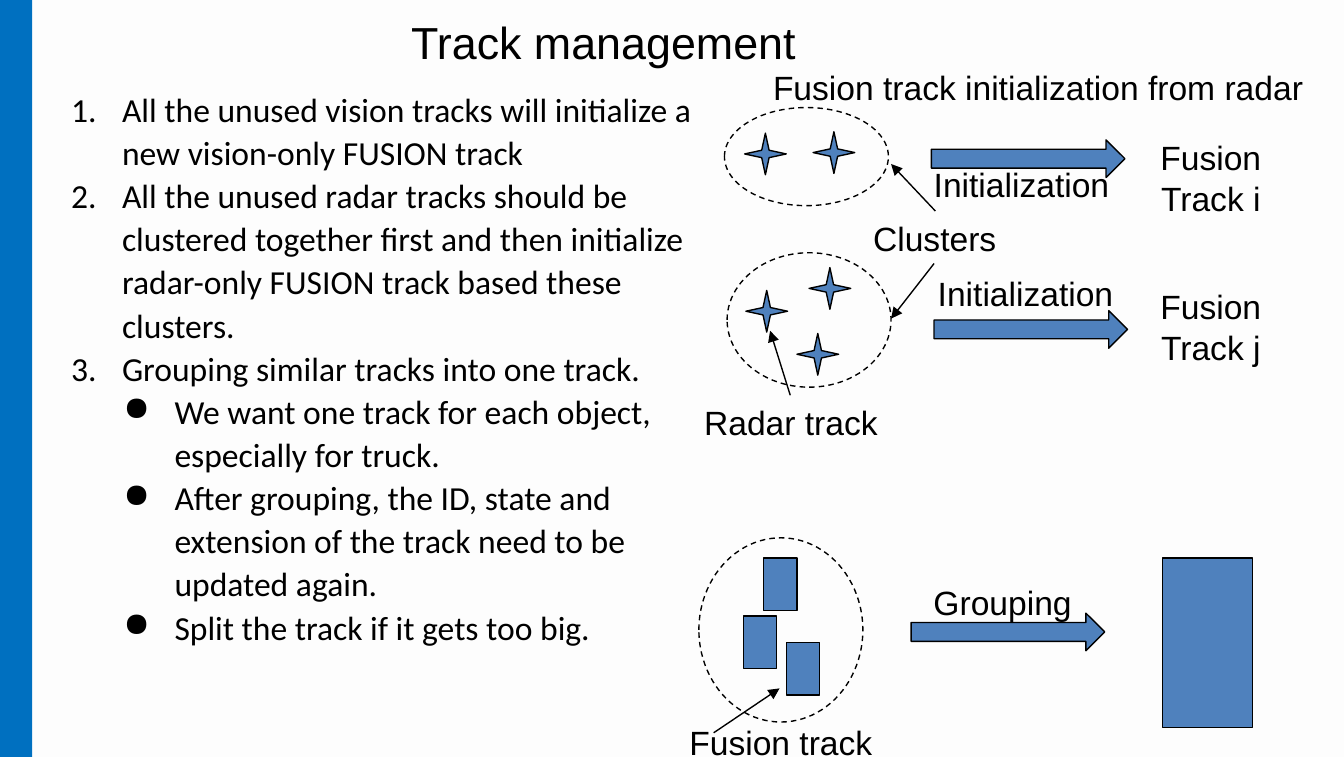
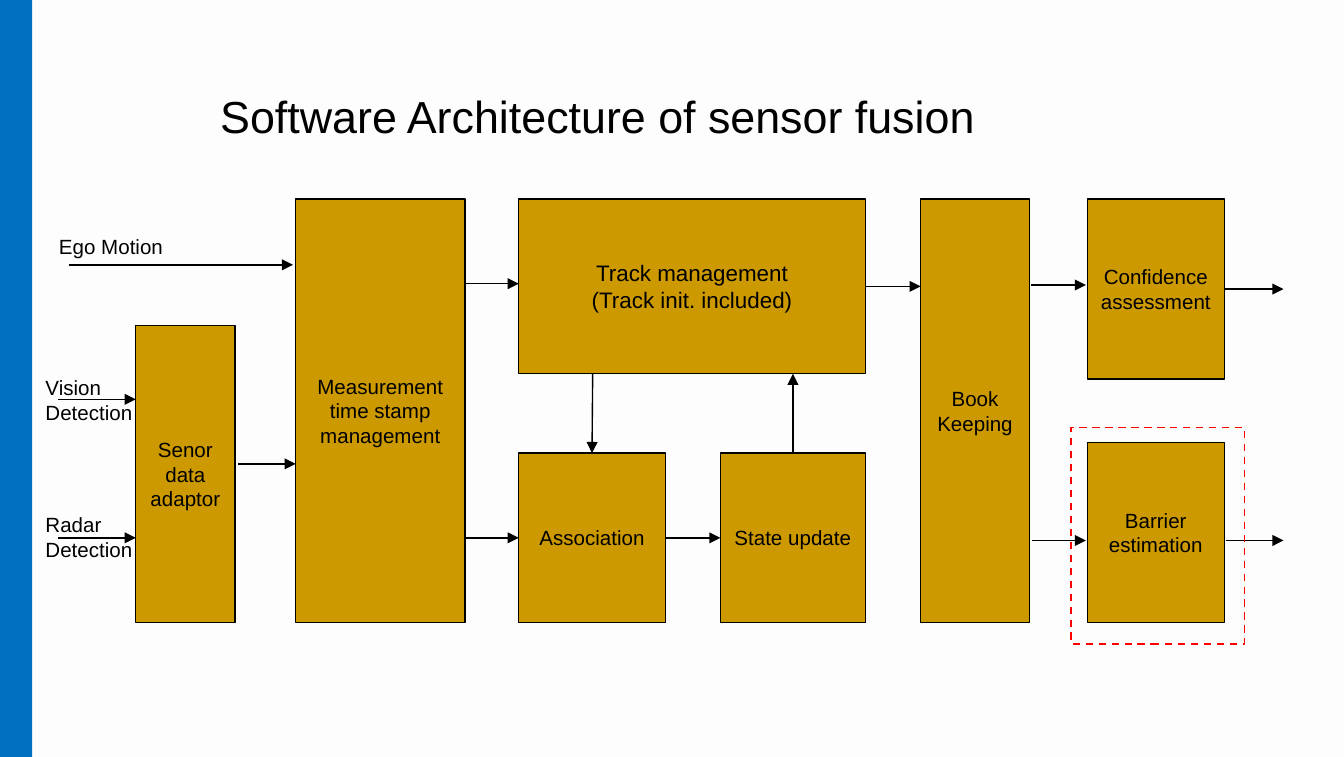
import lxml.etree
import pptx
import pptx.dml.color
import pptx.enum.dml
import pptx.enum.shapes
import pptx.enum.text
import pptx.oxml.ns
import pptx.util

Inches = pptx.util.Inches
Pt = pptx.util.Pt
qn = pptx.oxml.ns.qn
color = pptx.dml.color.RGBColor.from_string
SHAPE = pptx.enum.shapes.MSO_SHAPE
ALIGN = pptx.enum.text.PP_ALIGN
ANCHOR = pptx.enum.text.MSO_ANCHOR

BLACK, BLUE, BAND_BLUE, GOLD, RED = "000000", "4F81BD", "0070C0", "CC9900", "FF0000"


def place(slide, box, geometry=None, fill=None, line=BLACK, width=0.75, dash=False,
          lines=(), size=18, align=ALIGN.CENTER, wrap=True, font="Arial"):
    lengths = [Inches(length) for length in box]
    if geometry is None:
        item = slide.shapes.add_textbox(*lengths)
        item.text_frame.auto_size = pptx.enum.text.MSO_AUTO_SIZE.SHAPE_TO_FIT_TEXT
    else:
        item = slide.shapes.add_shape(geometry, *lengths)
        item.shadow.inherit = False
        if fill:
            item.fill.solid()
            item.fill.fore_color.rgb = color(fill)
        else:
            item.fill.background()
        if line:
            item.line.color.rgb = color(line)
            item.line.width = Pt(width)
        else:
            item.line.fill.background()
        if dash:
            item.line.dash_style = pptx.enum.dml.MSO_LINE.DASH
        item.text_frame.vertical_anchor = ANCHOR.MIDDLE
        item.text_frame.margin_left = item.text_frame.margin_right = Inches(0.05)
    frame = item.text_frame
    frame.word_wrap = wrap
    for index, words in enumerate(lines):
        paragraph = frame.add_paragraph() if index else frame.paragraphs[0]
        paragraph.alignment = align
        run = paragraph.add_run()
        run.text = words
        run.font.size = Pt(size)
        run.font.name = font
        run.font.color.rgb = color(BLACK)
    return item


def draw_arrow(slide, start, end, source=None, target=None):
    arrow = slide.shapes.add_connector(
        pptx.enum.shapes.MSO_CONNECTOR.STRAIGHT, *[Inches(length) for length in start + end])
    if source:
        arrow.begin_connect(*source)
    if target:
        arrow.end_connect(*target)
    arrow.line.color.rgb = color(BLACK)
    arrow.line.width = Pt(0.75)
    lxml.etree.SubElement(arrow.line._get_or_add_ln(), qn("a:tailEnd"), type="triangle")
    lxml.etree.SubElement(arrow._element.spPr, qn("a:effectLst"))


deck = pptx.Presentation()
deck.slide_width = Inches(10)
deck.slide_height = Inches(5.63)

slides = []
for title, title_box, title_align in [
    ("Track management", (2.56, 0.06, 3.86, 0.5), ALIGN.CENTER),
    ("Software Architecture of sensor fusion", (1.54, 0.61, 6.24, 0.5), ALIGN.LEFT),
]:
    slide = deck.slides.add_slide(deck.slide_layouts[6])
    slide.background.fill.solid()
    slide.background.fill.fore_color.rgb = color("FDFDFD")
    place(slide, (0, 0, 0.24, 5.63), SHAPE.RECTANGLE, BAND_BLUE, line=None)
    place(slide, title_box, lines=[title], size=24, align=title_align)
    slides.append(slide)
tracks, architecture = slides

rules = [
    (0, "All the unused vision tracks will initialize a new vision-only FUSION track"),
    (0, "All the unused radar tracks should be clustered together first and then initialize "
        "radar-only FUSION track based these clusters."),
    (0, "Grouping similar tracks into one track."),
    (1, "We want one track for each object, especially for truck."),
    (1, "After grouping, the ID, state and extension of the track need to be updated again."),
    (1, "Split the track if it gets too big."),
]
rule_list = place(tracks, (0.43, 0.59, 4.88, 4.64), lines=[words for _, words in rules],
                  align=ALIGN.LEFT, font="Calibri")
for (level, _), paragraph in zip(rules, rule_list.text_frame.paragraphs):
    paragraph.level = level
    paragraph.line_spacing = 1.07
    properties = paragraph._p.get_or_add_pPr()
    properties.set("marL", str(Inches(0.77 if level else 0.38)))
    properties.set("indent", str(-Inches(0.38)))
    if level:
        lxml.etree.SubElement(properties, qn("a:buChar"), char="●")
    else:
        lxml.etree.SubElement(properties, qn("a:buAutoNum"), type="arabicPeriod")

for left, top in [(5.55, 2.16), (5.93, 2.48), (6.02, 1.99), (5.54, 0.99), (6.05, 0.98)]:
    place(tracks, (left, top, 0.31, 0.31), SHAPE.STAR_4_POINT, BLUE)
for left, top in [(5.68, 4.15), (5.85, 4.78), (5.53, 4.58)]:
    place(tracks, (left, top, 0.25, 0.39), SHAPE.RECTANGLE, BLUE)
place(tracks, (8.65, 4.15, 0.67, 1.26), SHAPE.RECTANGLE, BLUE)
for left, top, height in [(5.39, 0.8, 0.73), (5.41, 1.88, 1), (5.2, 4, 1.37)]:
    place(tracks, (left, top, 1.22, height), SHAPE.OVAL, dash=True)
for left, top in [(6.93, 1.04), (6.95, 2.31), (6.78, 4.56)]:
    place(tracks, (left, top, 1.44, 0.28), SHAPE.RIGHT_ARROW, BLUE)

for start, end in [
    ((5.88, 2.94), (5.73, 2.46)),
    ((6.95, 1.96), (6.63, 2.37)),
    ((6.96, 1.57), (6.63, 1.22)),
    ((5.31, 5.45), (5.8, 5.12)),
]:
    draw_arrow(tracks, start, end)

for label, left, top, width in [
    ("Fusion track initialization from radar", 5.56, 0.45, 4.33),
    ("Initialization", 6.84, 1.17, 1.52),
    ("Clusters", 6.39, 1.57, 1.13),
    ("Initialization", 6.87, 1.98, 1.52),
    ("Radar track", 5.13, 2.94, 1.51),
    ("Grouping", 6.84, 4.28, 1.24),
    ("Fusion track", 5.02, 5.32, 1.58),
]:
    place(tracks, (left, top, width, 0.4), lines=[label], wrap=False)
for name, top in [("Track i", 0.97), ("Track j", 2.08)]:
    place(tracks, (8.53, top, 0.96, 0.71), lines=["Fusion", name])

blocks = {}
for key, box, lines, size in [
    ("adaptor", (1.01, 2.42, 0.74, 2.21), ["Senor", "data", "adaptor"], 11),
    ("measurement", (2.2, 1.48, 1.26, 3.15), ["Measurement", "time stamp", "management"], 11),
    ("association", (3.86, 3.37, 1.09, 1.26), ["Association"], 11),
    ("update", (5.36, 3.37, 1.08, 1.26), ["State update"], 11),
    ("keeping", (6.85, 1.48, 0.81, 3.15), ["Book", "Keeping"], 11),
    ("management", (3.86, 1.48, 2.58, 1.3), ["Track management", "(Track init. included)"], 12),
    ("barrier", (8.09, 3.29, 1.02, 1.34), ["Barrier", "estimation"], 11),
    ("confidence", (8.09, 1.48, 1.02, 1.34), ["Confidence assessment"], 11),
]:
    blocks[key] = place(architecture, box, SHAPE.RECTANGLE, GOLD, lines=lines, size=size)

for start, end, source, target in [
    ((0.43, 2.97), (1.01, 2.97), None, None),
    ((0.43, 4), (1.01, 4), None, None),
    ((0.51, 1.97), (2.18, 1.97), None, None),
    ((1.77, 3.45), (2.2, 3.45), None, None),
    ((3.46, 2.11), (3.86, 2.11), None, None),
    ((3.46, 4), (3.86, 4), None, (blocks["association"], 1)),
    ((4.95, 4), (5.36, 4), (blocks["association"], 3), (blocks["update"], 1)),
    ((6.44, 2.13), (6.85, 2.13), (blocks["management"], 3), None),
    ((7.67, 2.12), (8.08, 2.12), None, None),
    ((7.68, 4.02), (8.08, 4.02), None, None),
    ((5.9, 3.37), (5.9, 2.78), (blocks["update"], 0), None),
    ((4.41, 2.78), (4.41, 3.37), None, (blocks["association"], 0)),
    ((9.11, 2.15), (9.55, 2.15), (blocks["confidence"], 3), None),
    ((9.12, 4.02), (9.55, 4.02), None, None),
]:
    draw_arrow(architecture, start, end, source, target)

for signal, left, top, height in [
    ("Ego Motion", 0.34, 1.69, 0.29),
    ("Vision Detection", 0.24, 2.74, 0.47),
    ("Radar Detection", 0.24, 3.76, 0.47),
]:
    place(architecture, (left, top, 1.03, height), lines=[signal], size=11, align=ALIGN.LEFT)

place(architecture, (7.97, 3.18, 1.29, 1.61), SHAPE.RECTANGLE, line=RED, width=1, dash=True)

deck.save("out.pptx")
